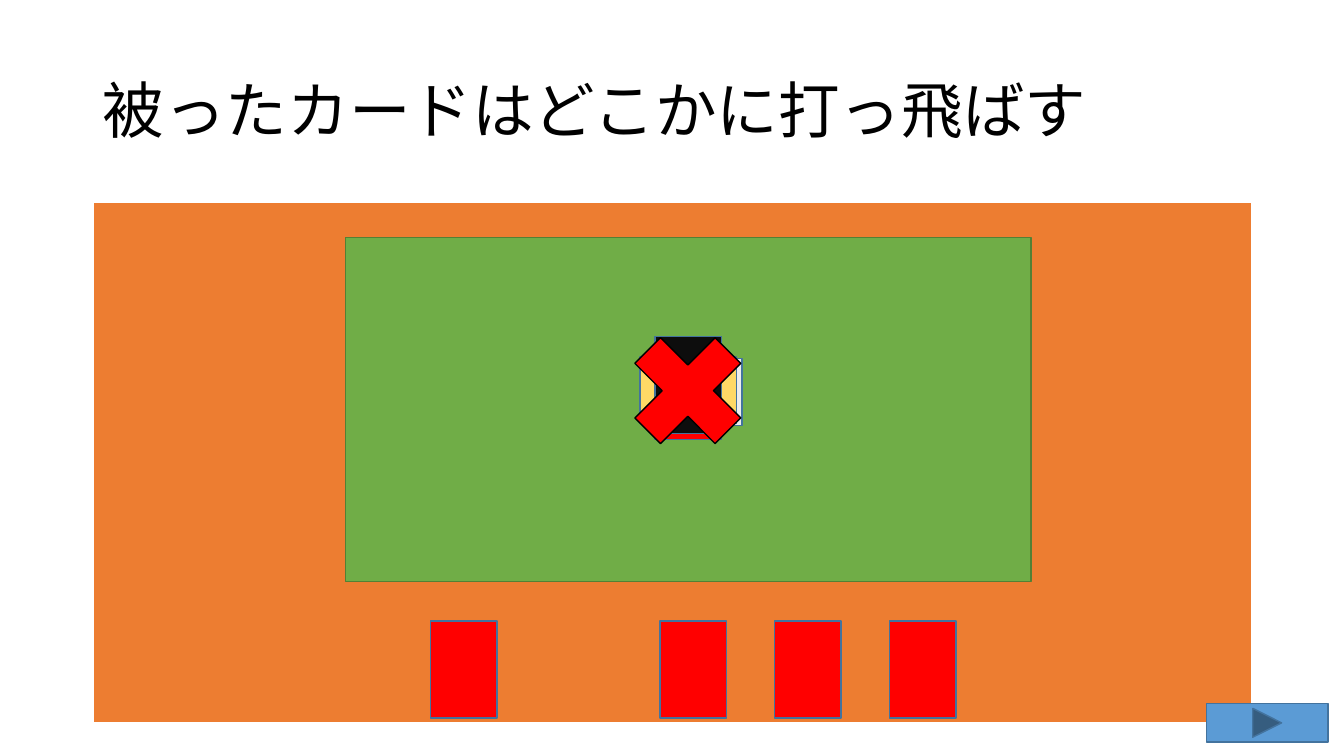
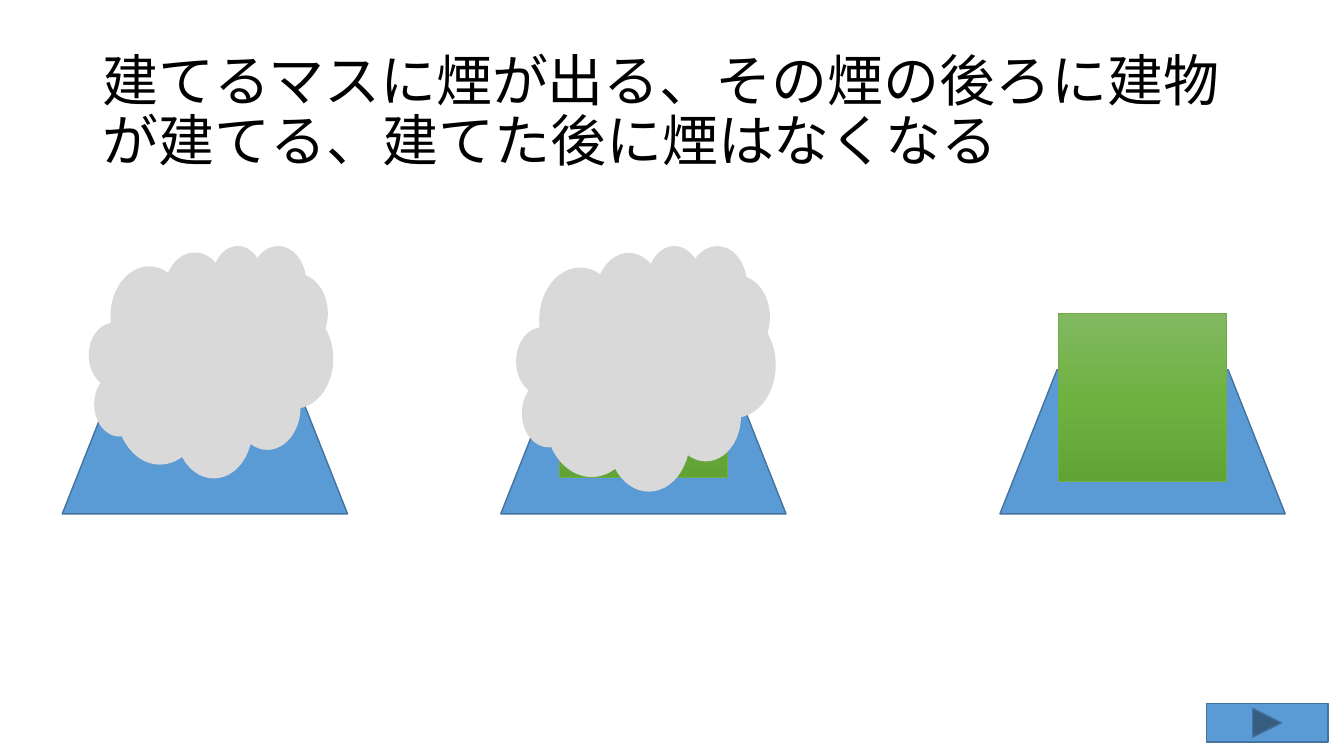
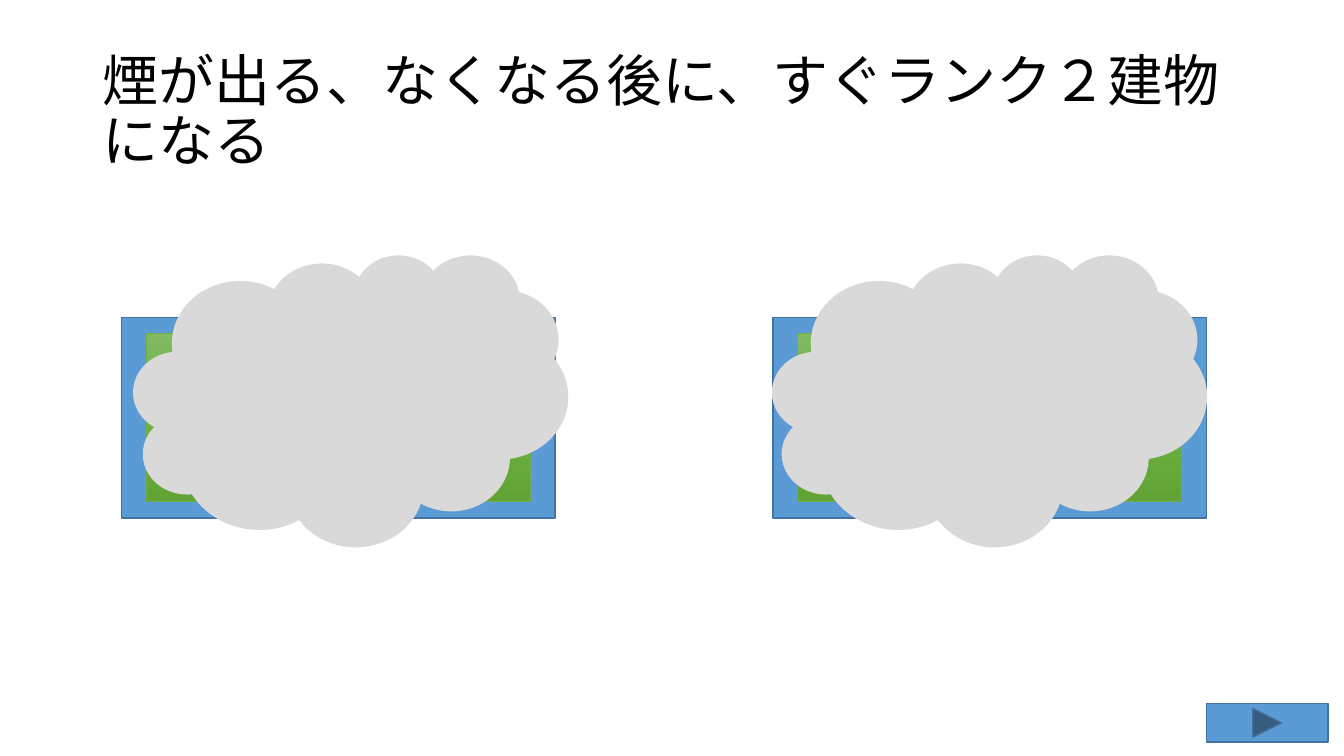
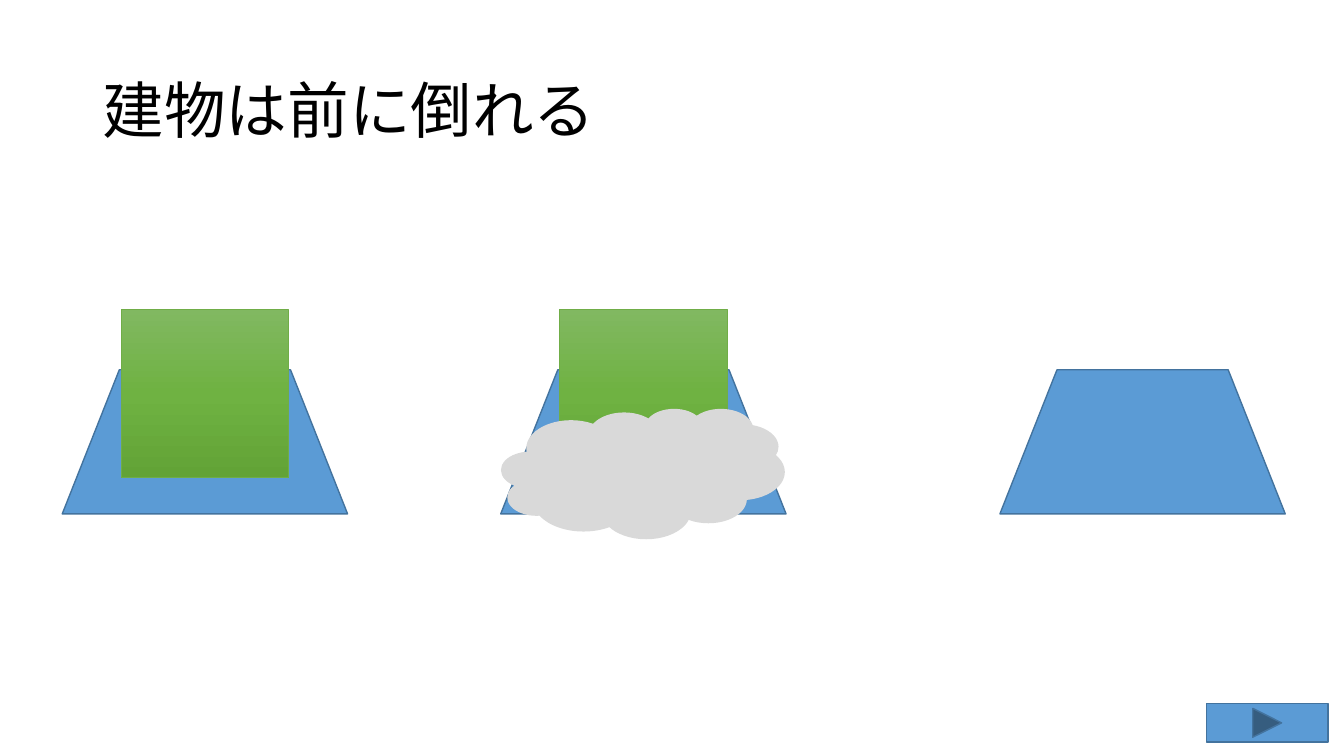
from copy import deepcopy

from pptx import Presentation
from pptx.dml.color import RGBColor
from pptx.enum.shapes import MSO_SHAPE as Preset
from pptx.enum.text import MSO_ANCHOR as Anchor
from pptx.oxml.ns import qn
from pptx.util import Cm, Pt

COLOURS = {
    "black": "000000", "white": "FFFFFF", "red": "FF0000",
    "orange": "ED7D31", "field": "70AD47", "field_edge": "538035",
    "blue": "5B9BD5", "blue_edge": "43739E", "smoke": "D9D9D9",
    "card_white": "EDEDED", "card_yellow": "FFD966", "card_black": "0D0D0D",
    "roof": "81B861", "wall": "6FB242", "base": "62A336",
}
BUILDING_STOPS = [(0, "roof"), (0.5, "wall"), (1, "base")]
TITLE_FRAME = {"word_wrap": True, "vertical_anchor": Anchor.MIDDLE}

CARD = (1.68, 2.44)
BUILDING = (4.22, 4.24)
LAND = (7.19, 3.63)
LAND_LEFTS = (1.57, 12.62, 25.2)
LAND_TOP = 9.32
TILE = (5.46, 5.05)
TILE_TOP = 8
TILE_MARGIN = (TILE[0] - BUILDING[0]) / 2


def rgb(name):
    return RGBColor.from_string(COLOURS[name])


def set_all(target, values):
    for name, value in values.items():
        setattr(target, name, value)


def add_block(page, preset, left, top, size, fill, edge="blue_edge",
              weight=1, rotation=0):
    """Add a preset shape with a solid fill; lengths are in centimetres."""
    width, height = size
    block = page.shapes.add_shape(preset, Cm(left), Cm(top), Cm(width), Cm(height))
    block.shadow.inherit = False
    block.rotation = rotation
    block.fill.solid()
    block.fill.fore_color.rgb = rgb(fill)
    block.line.color.rgb = rgb(edge)
    block.line.width = Pt(weight)
    return block


def add_title(page, text, size):
    box = page.shapes.add_textbox(Cm(2.34), Cm(1.02), Cm(29.21), Cm(3.68))
    set_all(box.text_frame, TITLE_FRAME)
    para = box.text_frame.paragraphs[0]
    para.line_spacing = 0.9
    span = para.add_run()
    span.text = text
    set_all(span.font, {"size": Pt(size), "name": "Calibri"})
    span.font.color.rgb = rgb("black")


def add_page(deck, title, size):
    """Add a blank page with the shared title and forward button."""
    page = deck.slides.add_slide(deck.slide_layouts[6])
    add_title(page, title, size)
    add_block(page, Preset.ACTION_BUTTON_FORWARD_OR_NEXT, 30.4, 17.73,
              (3.07, 0.97), "blue")
    return page


def add_card(page, left, top, fill, rotation=0):
    add_block(page, Preset.RECTANGLE, left, top, CARD, fill, rotation=rotation)


def add_lands(page):
    for left in LAND_LEFTS:
        land = add_block(page, Preset.FLOWCHART_MANUAL_OPERATION, left, LAND_TOP,
                         LAND, "blue")
        land._element.spPr.find(qn("a:xfrm")).set("flipV", "1")


def add_building(page, left, top, width=BUILDING[0]):
    building = add_block(page, Preset.RECTANGLE, left, top, (width, BUILDING[1]),
                         "wall", "field", 0.5)
    building.fill.gradient()
    building.fill.gradient_angle = 270
    stop_list = building._element.spPr.find(".//" + qn("a:gsLst"))
    stop_list.append(deepcopy(stop_list[0]))
    for stop, (position, colour) in zip(building.fill.gradient_stops, BUILDING_STOPS):
        stop.position = position
        stop.color.rgb = rgb(colour)


def add_building_on_land(page, index, top):
    add_building(page, LAND_LEFTS[index] + (LAND[0] - BUILDING[0]) / 2, top)


def add_smoke(page, left, top, size):
    smoke = add_block(page, Preset.CLOUD_CALLOUT, left, top, size, "smoke", "smoke")
    smoke.adjustments[0] = -0.092
    smoke.adjustments[1] = 0.077


def add_tile_pair(page, left):
    for column in range(2):
        add_block(page, Preset.RECTANGLE, left + column * TILE[0], TILE_TOP,
                  TILE, "blue")


def build_card_page(deck):
    page = add_page(deck, "被ったカードはどこかに打っ飛ばす", 44)
    button = page.shapes[-1]
    add_block(page, Preset.RECTANGLE, 2.34, 5.08, (29.21, 13.13), "orange",
              "white", 1.5)
    for slot in (0, 2, 3, 4):
        add_card(page, 10.85 + slot * 2.89, 15.65, "red")
    add_block(page, Preset.RECTANGLE, 8.71, 5.99, (17.27, 8.66), "field",
              "field_edge")
    # The button lies above the table.
    page.shapes._spTree.append(button._element)
    for left, top, fill, rotation in [
        (16.51, 8.64, "red", 0),
        (16.64, 8.66, "card_white", 270),
        (16.51, 8.61, "card_yellow", 270),
        (16.51, 8.48, "card_black", 180),
    ]:
        add_card(page, left, top, fill, rotation)
    add_block(page, Preset.MATH_MULTIPLY, 15.39, 7.9, (3.89, 3.89), "red", "black")


def build_construction_page(deck):
    page = add_page(
        deck, "建てるマスに煙が出る、その煙の後ろに建物が建てる、建てた後に煙はなくなる", 40)
    add_lands(page)
    add_smoke(page, 2.26, 6.2, (6.12, 5.82))
    add_building_on_land(page, 1, 7.8)
    add_smoke(page, 13.03, 6.2, (6.5, 6.15))
    add_building_on_land(page, 2, 7.9)


def build_upgrade_page(deck):
    page = add_page(deck, "煙が出る、なくなる後に、すぐランク２建物になる", 40)
    before, after = 3.07, 19.48
    building_top = TILE_TOP + (TILE[1] - BUILDING[1]) / 2
    pair_width = 2 * TILE[0]
    for left in (before, after):
        add_tile_pair(page, left)
    for column in range(2):
        add_building(page, before + column * TILE[0] + TILE_MARGIN, building_top)
    add_building(page, after + TILE_MARGIN, building_top,
                 pair_width - 2 * TILE_MARGIN)
    for left in (3.38, after):
        add_smoke(page, left, 6.43, (pair_width, 7.32))


def build_collapse_page(deck):
    page = add_page(deck, "建物は前に倒れる", 44)
    add_lands(page)
    for index in range(2):
        add_building_on_land(page, index, 7.8)
    add_smoke(page, 12.65, 10.31, (7.11, 3.25))


def main():
    deck = Presentation()
    set_all(deck, {"slide_width": Cm(33.87), "slide_height": Cm(19.05)})
    build_card_page(deck)
    build_construction_page(deck)
    build_upgrade_page(deck)
    build_collapse_page(deck)
    deck.save("out.pptx")


if __name__ == "__main__":
    main()
